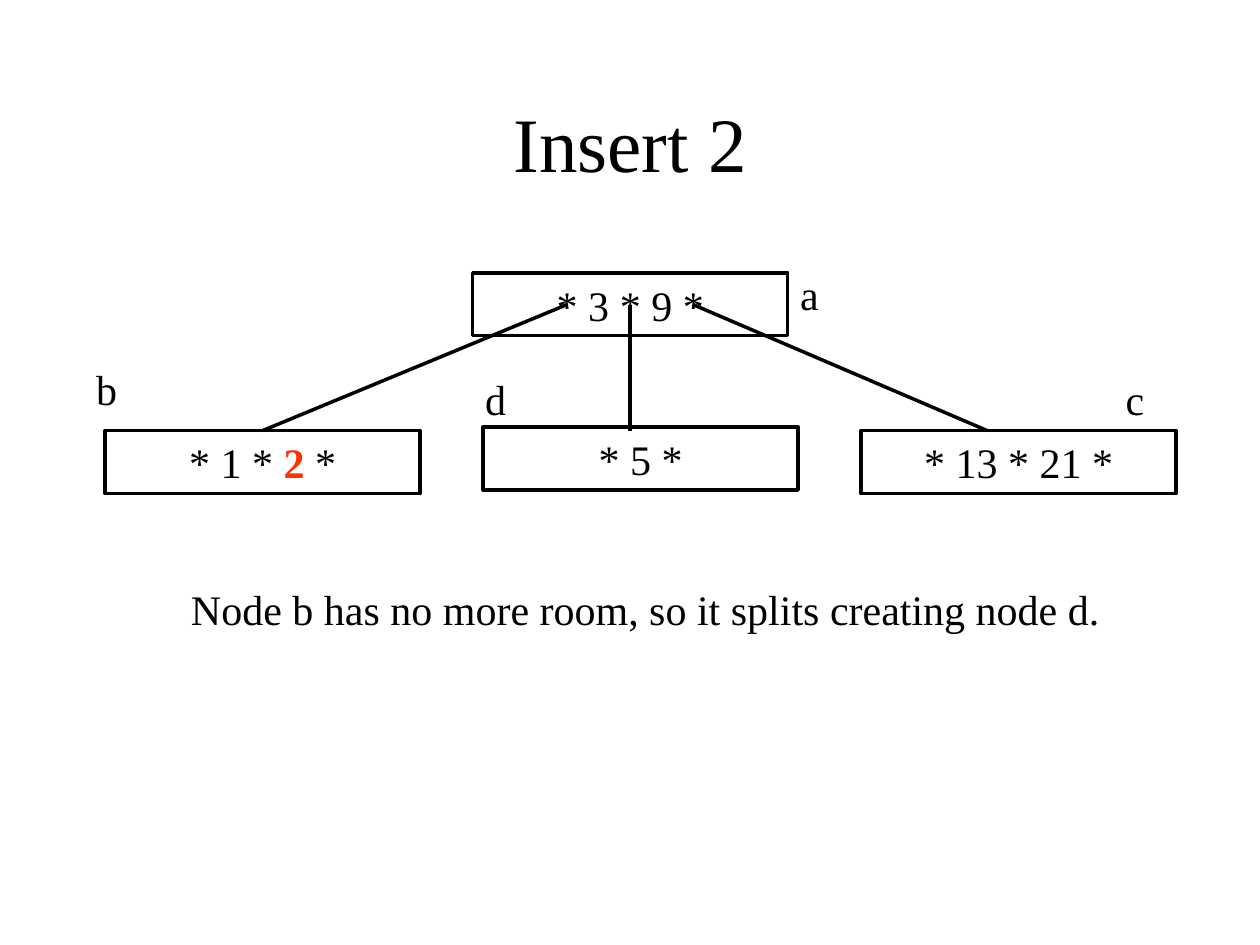
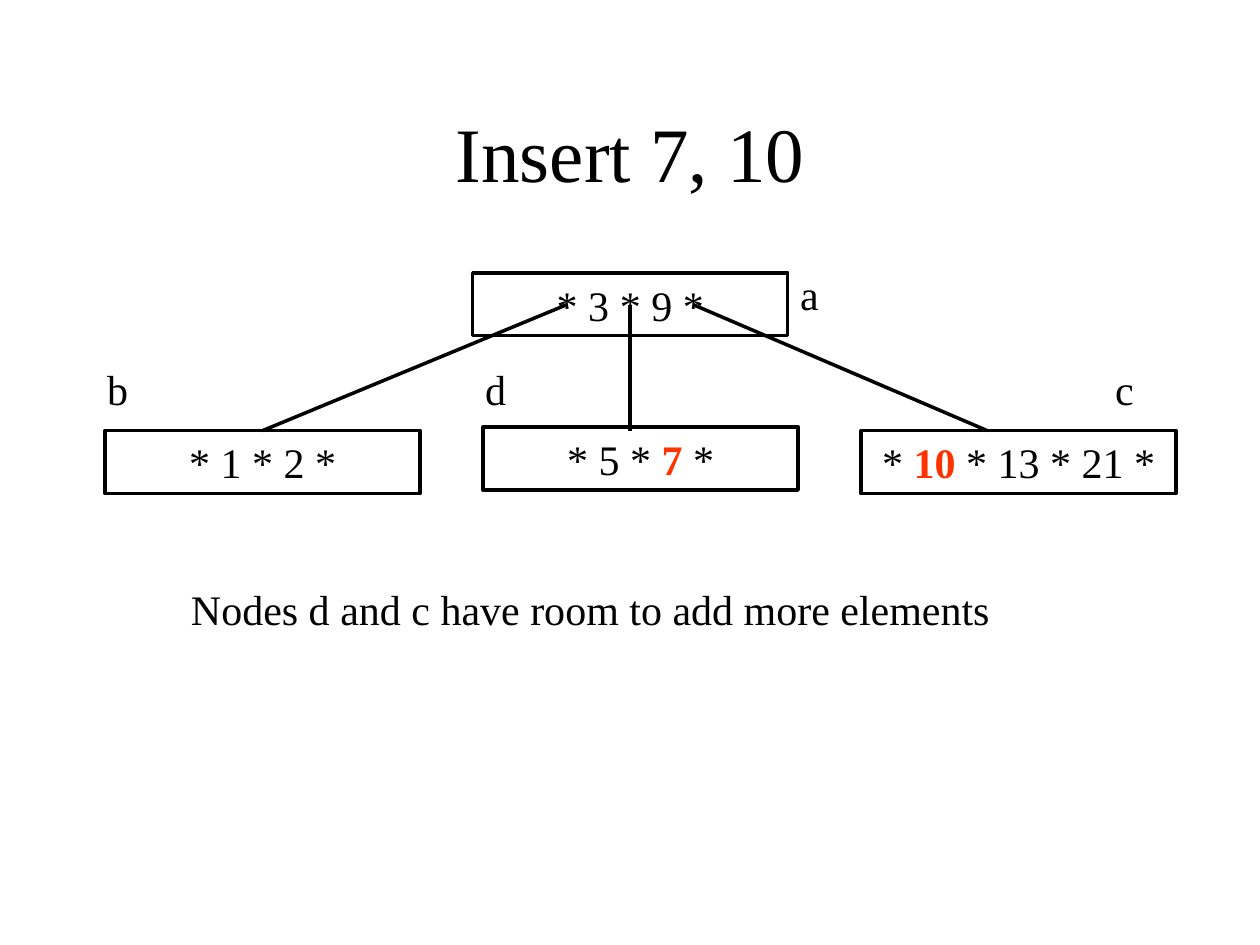
from dataclasses import dataclass

from lxml import etree
from pptx import Presentation
from pptx import util as u
from pptx.dml import color
from pptx.enum import shapes, text
from pptx.oxml import ns

COLOURS = {"ink": "000000", "inserted": "FF3300"}
FONT = "Times New Roman"
LINE_WIDTH = u.Pt(2)

BODY_FRAME = {
    "word_wrap": True,
    "auto_size": text.MSO_AUTO_SIZE.SHAPE_TO_FIT_TEXT,
    "vertical_anchor": text.MSO_ANCHOR.TOP,
}
TITLE_FRAME = {
    "word_wrap": True,
    "auto_size": text.MSO_AUTO_SIZE.NONE,
    "vertical_anchor": text.MSO_ANCHOR.MIDDLE,
}
TITLE_PARAGRAPH = {"alignment": text.PP_ALIGN.CENTER}
NODE_PARAGRAPH = {"alignment": text.PP_ALIGN.CENTER, "space_before": u.Pt(15)}
LABEL_PARAGRAPH = {"alignment": text.PP_ALIGN.LEFT, "space_before": u.Pt(15)}

# Tree geometry in centimetres
NODE_WIDTH, ROW_HEIGHT = 6.35, 1.27
NODE_PLACES = {"a": (9.53, 5.5), "b": (2.12, 8.68), "c": (17.36, 8.68), "d": (9.74, 8.61)}
POINTER_TOP, POINTER_BOTTOM = 6.14, 8.68
POINTERS = {"b": (11.43, 5.29), "d": (12.7, 12.7), "c": (13.97, 19.9)}


@dataclass
class InsertStep:
    title: str
    title_height: float
    keys: dict[str, str]  # newly inserted keys stand between bars
    labels: dict[str, tuple[float, float]]
    remark: str
    remark_width: float


STEPS = [
    InsertStep(
        "Insert 2", 2.33,
        {"a": "* 3 * 9 *", "b": "* 1 * |2| *", "c": "* 13 * 21 *", "d": "* 5 *"},
        {"a": (15.88, 5.29), "b": (1.69, 7.2), "d": (9.53, 7.41), "c": (22.44, 7.41)},
        "Node b has no more room, so it splits creating node d.", 20.32,
    ),
    InsertStep(
        "Insert 7, 10", 2.75,
        {"a": "* 3 * 9 *", "b": "* 1 * 2 *", "c": "* |10 |* 13 * 21 *", "d": "* 5 * |7| *"},
        {"a": (15.88, 5.29), "b": (1.91, 7.2), "d": (9.53, 7.2), "c": (22.23, 7.2)},
        "Nodes d and c have room to add more elements", 17.57,
    ),
]


def rgb(name: str) -> color.RGBColor:
    return color.RGBColor.from_string(COLOURS[name])


def apply_format(target, values: dict) -> None:
    for attribute, value in values.items():
        setattr(target, attribute, value)


def write(frame, words: str, size: int, frame_format: dict, paragraph_format: dict) -> None:
    """Write words, with the parts between bars marked as inserted."""
    apply_format(frame, frame_format)
    paragraph = frame.paragraphs[0]
    apply_format(paragraph, paragraph_format)
    for position, part in enumerate(words.split("|")):
        inserted = position % 2 == 1
        run = paragraph.add_run()
        run.text = part
        apply_format(run.font, {"name": FONT, "size": u.Pt(size), "bold": inserted})
        run.font.color.rgb = rgb("inserted" if inserted else "ink")


def add_words(slide, words: str, left: float, top: float, width: float,
              height: float = ROW_HEIGHT, size: int = 24,
              frame_format: dict = BODY_FRAME,
              paragraph_format: dict = LABEL_PARAGRAPH) -> None:
    box = slide.shapes.add_textbox(u.Cm(left), u.Cm(top), u.Cm(width), u.Cm(height))
    write(box.text_frame, words, size, frame_format, paragraph_format)


def add_node(slide, name: str, keys: str):
    left, top = NODE_PLACES[name]
    node = slide.shapes.add_shape(shapes.MSO_SHAPE.RECTANGLE, u.Cm(left), u.Cm(top),
                                  u.Cm(NODE_WIDTH), u.Cm(ROW_HEIGHT))
    node.shadow.inherit = False
    node.fill.background()
    node.line.color.rgb = rgb("ink")
    node.line.width = LINE_WIDTH
    write(node.text_frame, keys, 24, BODY_FRAME, NODE_PARAGRAPH)
    return node


def add_pointer(slide, start: float, end: float):
    pointer = slide.shapes.add_connector(
        shapes.MSO_CONNECTOR.STRAIGHT,
        u.Cm(start), u.Cm(POINTER_TOP), u.Cm(end), u.Cm(POINTER_BOTTOM))
    pointer.line.color.rgb = rgb("ink")
    pointer.line.width = LINE_WIDTH
    etree.SubElement(pointer._element.spPr, ns.qn("a:effectLst"))
    return pointer


def draw_step(slide, step: InsertStep) -> None:
    add_words(slide, step.title, 1.91, 1.69, 21.59, step.title_height, 44,
              TITLE_FRAME, TITLE_PARAGRAPH)

    # Nodes and the pointers from the root
    nodes = {name: add_node(slide, name, keys) for name, keys in step.keys.items()}
    pointers = {name: add_pointer(slide, *ends) for name, ends in POINTERS.items()}
    pointers["b"].end_connect(nodes["b"], 0)

    # Node names and the remark
    for name, (left, top) in step.labels.items():
        add_words(slide, name, left, top, ROW_HEIGHT)
    add_words(slide, step.remark, 3.6, 11.64, step.remark_width)


def main() -> None:
    deck = Presentation()
    deck.slide_width, deck.slide_height = u.Cm(25.4), u.Cm(19.05)
    for step in STEPS:
        draw_step(deck.slides.add_slide(deck.slide_layouts[6]), step)
    deck.save("out.pptx")


if __name__ == "__main__":
    main()
